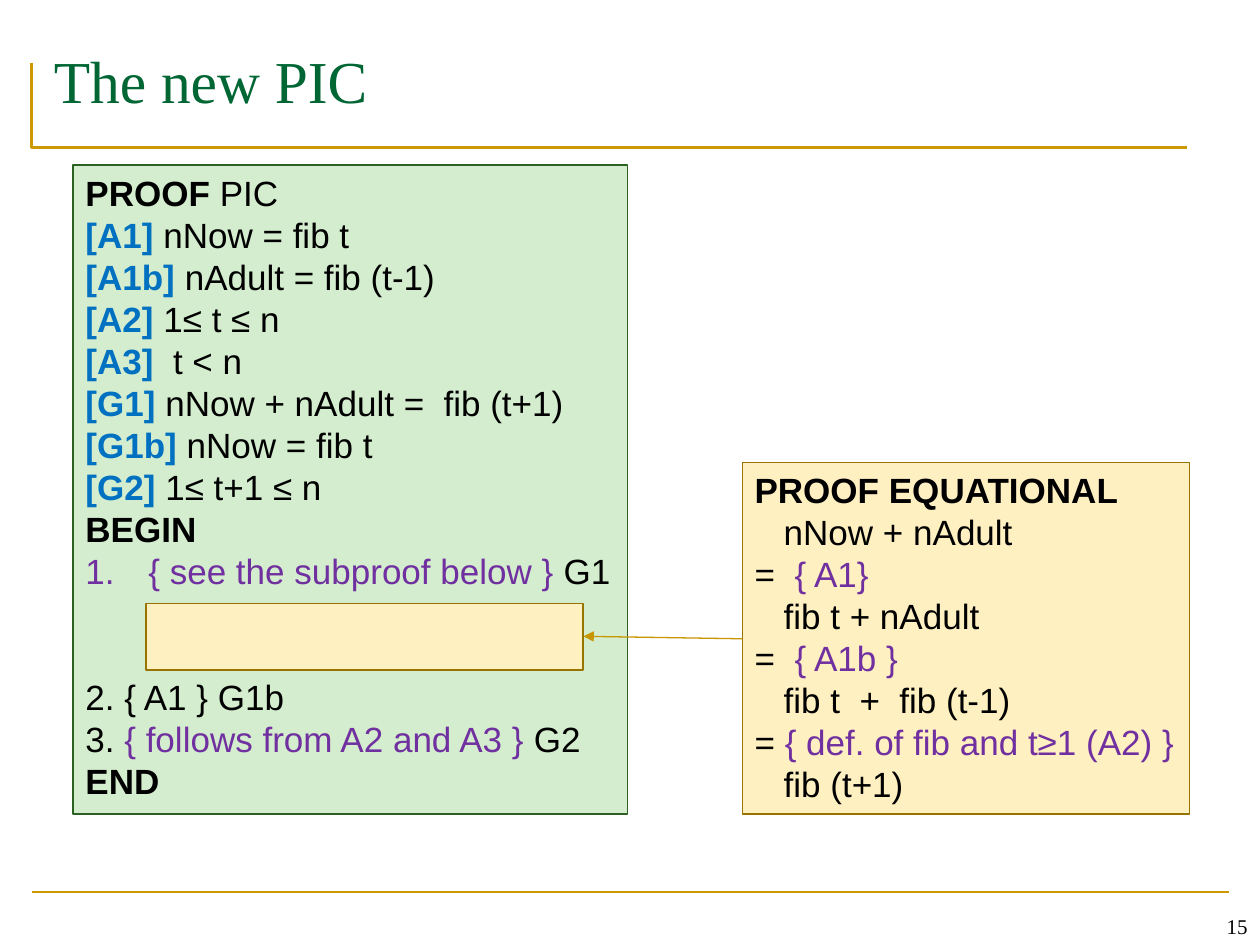
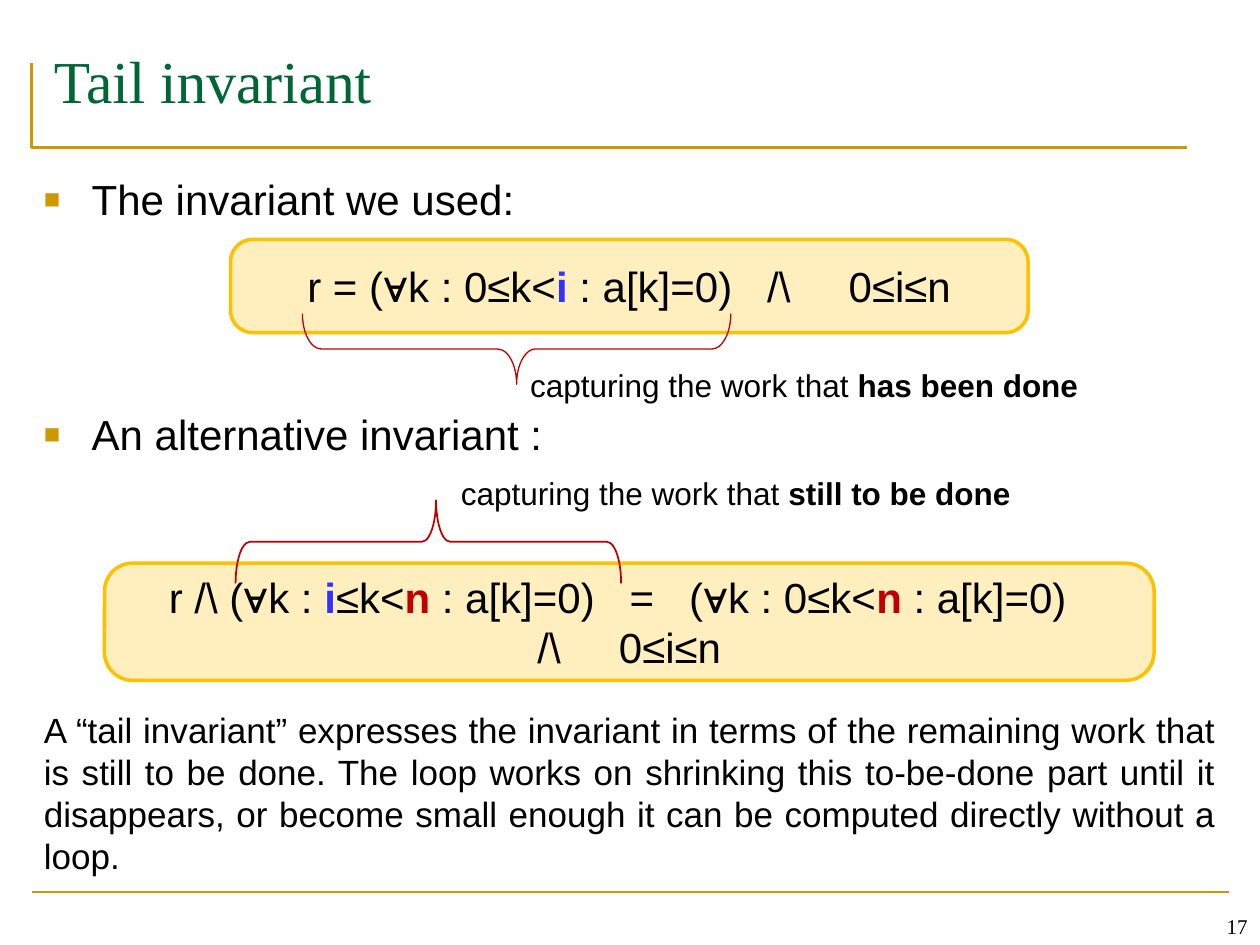
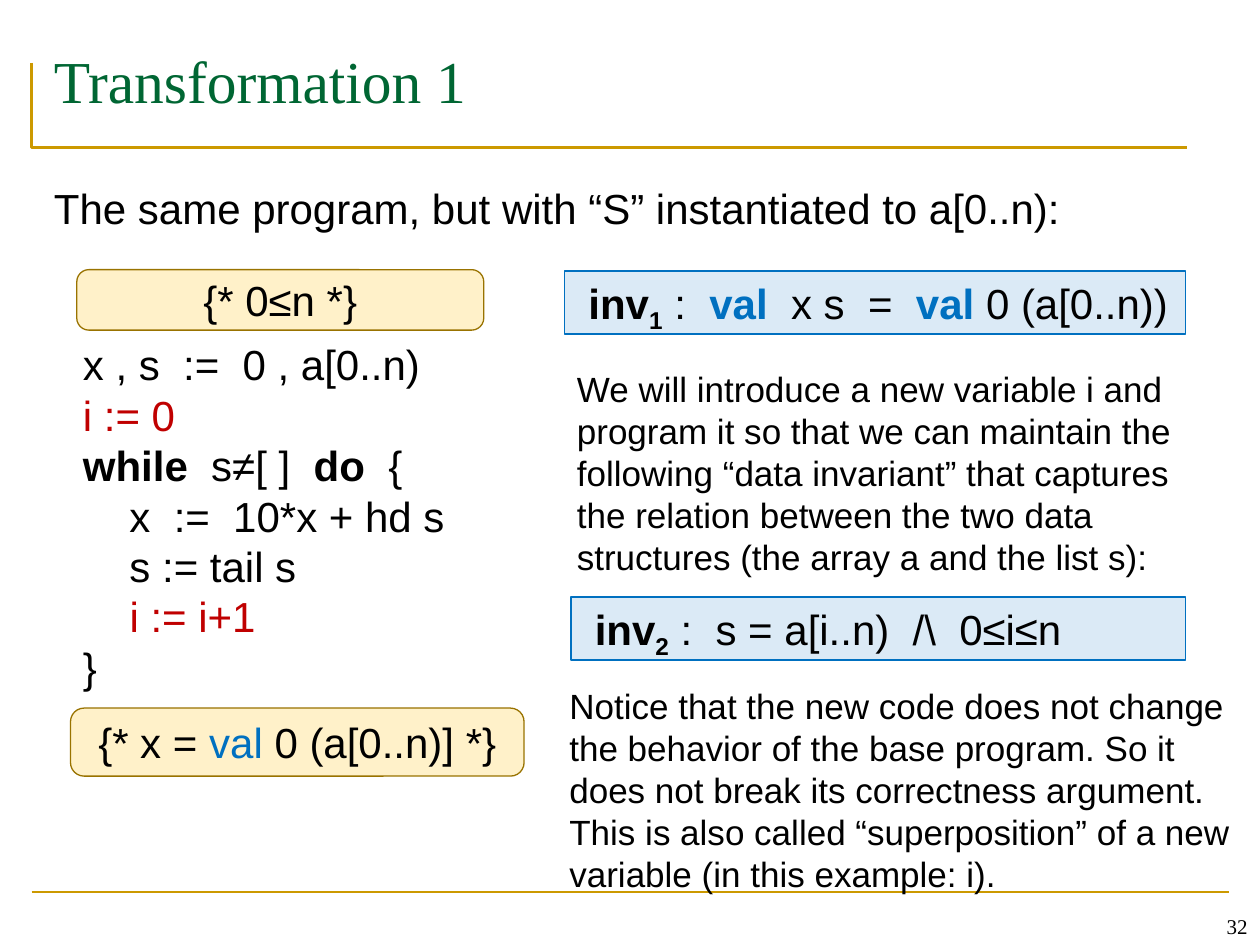
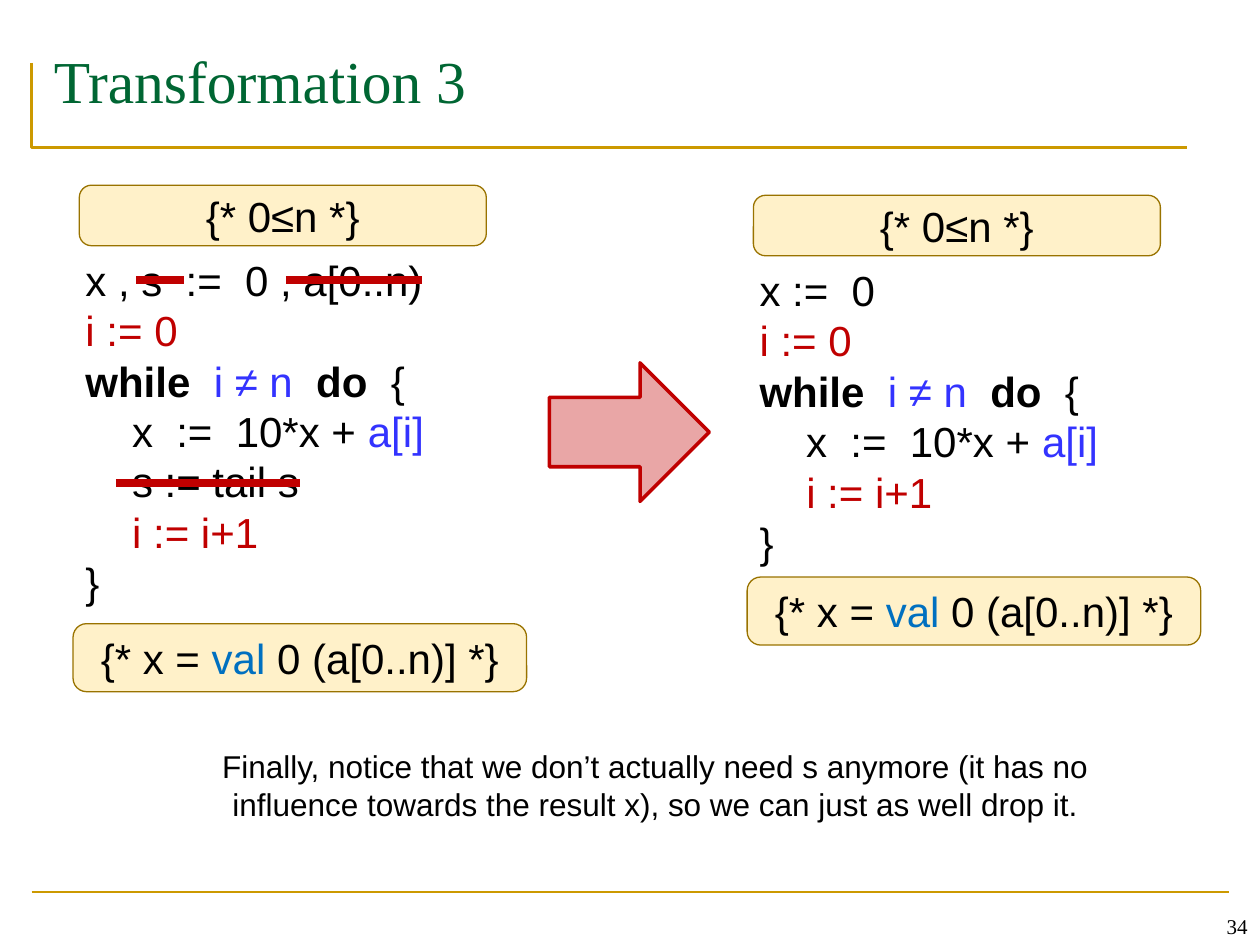
from dataclasses import dataclass
from functools import partial

import pptx
import pptx.dml.color
import pptx.enum.shapes
import pptx.enum.text
import pptx.oxml.ns
import pptx.util
from lxml import etree

Inches, Pt = pptx.util.Inches, pptx.util.Pt
SHAPE = pptx.enum.shapes.MSO_SHAPE
ALIGN = pptx.enum.text.PP_ALIGN
ANCHOR = pptx.enum.text.MSO_ANCHOR
qn = pptx.oxml.ns.qn

# Shared look
BODY_FONT, TITLE_FONT = "Arial", "Times New Roman"
BLACK, GOLD, TITLE_GREEN = "000000", "CC9900", "006633"
BLUE, INDIGO, PURPLE, RED = "0070C0", "3333FF", "7030A0", "C00000"
CREAM, BROWN, AMBER = "FFF0C2", "997300", "FFC000"


# Text pieces
@dataclass
class Run:
    text: str
    color: str = None
    bold: bool = None
    subscript: bool = False


@dataclass
class Para:
    runs: list
    before: float = 0
    indent: float = 0
    bullet: str = None


bold = partial(Run, bold=True)
blue = partial(Run, color=BLUE)
indigo = partial(Run, color=INDIGO)
purple = partial(Run, color=PURPLE)
red = partial(Run, color=RED)


def rgb(color):
    return pptx.dml.color.RGBColor.from_string(color)


def add_bullet(props, bullet):
    """Number the paragraph, or give it a small gold mark."""
    if bullet == "number":
        etree.SubElement(props, qn("a:buAutoNum"), type="arabicPeriod")
        return
    color = etree.SubElement(props, qn("a:buClr"))
    etree.SubElement(color, qn("a:srgbClr"), val=GOLD)
    etree.SubElement(props, qn("a:buSzPct"), val="65000")
    etree.SubElement(props, qn("a:buFont"), typeface=BODY_FONT)
    etree.SubElement(props, qn("a:buChar"), char=bullet)


def write(frame, paras, size, color=BLACK, font=BODY_FONT, align=ALIGN.LEFT,
          anchor=ANCHOR.TOP, wrap=True):
    """Fill a frame; each paragraph is a string, a list of runs or a Para."""
    frame.word_wrap = wrap
    frame.vertical_anchor = anchor
    for index, para in enumerate(paras):
        if isinstance(para, str):
            para = [para]
        if isinstance(para, list):
            para = Para(para)
        line = frame.add_paragraph() if index else frame.paragraphs[0]
        line.alignment = align
        if para.before:
            line.space_before = Pt(para.before)
        if para.bullet:
            props = line._p.get_or_add_pPr()
            props.set("marL", str(Inches(para.indent)))
            props.set("indent", str(-Inches(para.indent)))
            add_bullet(props, para.bullet)
        line.font.name, line.font.size = font, Pt(size)
        line.font.color.rgb = rgb(color)
        for part in para.runs:
            part = Run(part) if isinstance(part, str) else part
            run = line.add_run()
            run.text = part.text
            if part.color:
                run.font.color.rgb = rgb(part.color)
            if part.bold:
                run.font.bold = True
            if part.subscript:
                run.font._element.set("baseline", "-25000")


def add_text(slide, box, paras, size, **style):
    text = slide.shapes.add_textbox(*map(Inches, box))
    write(text.text_frame, paras, size, **style)


def add_box(slide, kind, box, fill, line, width, alpha=None, adjust=()):
    shape = slide.shapes.add_shape(kind, *map(Inches, box))
    shape.shadow.inherit = False
    if fill:
        shape.fill.solid()
        shape.fill.fore_color.rgb = rgb(fill)
    else:
        shape.fill.background()
    if alpha:
        color = shape._element.spPr.find(qn("a:solidFill")).find(qn("a:srgbClr"))
        etree.SubElement(color, qn("a:alpha"), val=str(alpha * 1000))
    shape.line.color.rgb = rgb(line)
    shape.line.width = Pt(width)
    for index, value in enumerate(adjust):
        shape.adjustments[index] = value
    return shape


def add_line(slide, start, end, color, width, arrow=False):
    line = slide.shapes.add_connector(
        pptx.enum.shapes.MSO_CONNECTOR.STRAIGHT, *map(Inches, start + end))
    line.line.color.rgb = rgb(color)
    line.line.width = Pt(width)
    if arrow:
        etree.SubElement(line.line._get_or_add_ln(), qn("a:tailEnd"), type="triangle")
    etree.SubElement(line._element.spPr, qn("a:effectLst"))


def add_page(deck, title, number):
    """Slide with the corner rule, footer rule, title and page number."""
    slide = deck.slides.add_slide(deck.slide_layouts[6])
    outline = slide.shapes.build_freeform(Inches(0.25), Inches(0.5))
    outline.add_line_segments(
        [(Inches(0.25), Inches(1.17)), (Inches(9.42), Inches(1.17))], close=False)
    corner = outline.convert_to_shape()
    corner.shadow.inherit = False
    corner.fill.background()
    corner.line.color.rgb = rgb(GOLD)
    corner.line.width = Pt(1.5)
    add_line(slide, (0.25, 7.08), (9.75, 7.08), GOLD, 1.5)
    add_text(slide, (0.33, 0.3, 9.33, 0.86), [title], 34,
             color=TITLE_GREEN, font=TITLE_FONT)
    add_text(slide, (7.67, 7, 2.33, 0.5), [str(number)], 12,
             font=TITLE_FONT, align=ALIGN.RIGHT, anchor=ANCHOR.BOTTOM)
    return slide


# Proof panels
def add_proof(slide, box, fill, line, paras):
    panel = add_box(slide, SHAPE.RECTANGLE, box, fill, line, 0.75)
    write(panel.text_frame, paras, 20, wrap=False)


def labelled(label, claim):
    return [blue(label, bold=True), claim]


def build_pic(deck):
    slide = add_page(deck, "The new PIC", 15)
    add_proof(slide, (0.58, 1.31, 4.4, 5.15), "D3EDCE", "2C6123", [
        [bold("PROOF"), " PIC"],
        labelled("[A1] ", "nNow = fib t"),
        labelled("[A1b] ", "nAdult = fib (t-1)"),
        labelled("[A2] ", "1≤ t ≤ n"),
        labelled("[A3]  ", "t < n"),
        labelled("[G1] ", "nNow + nAdult =  fib (t+1)"),
        labelled("[G1b] ", "nNow = fib t"),
        labelled("[G2] ", "1≤ t+1 ≤ n"),
        [bold("BEGIN")],
        Para([purple("{ see the subproof below } "), "G1"], indent=0.5, bullet="number"),
        Para(["2. { A1 } G1b"], before=48),
        ["3. ", purple("{ follows from A2 and A3 } "), "G2"],
        [bold("END")],
    ])
    add_proof(slide, (5.89, 3.67, 3.55, 2.79), CREAM, BROWN, [
        [bold("PROOF EQUATIONAL")],
        "   nNow + nAdult",
        ["=  ", purple("{ A1}")],
        "   fib t + nAdult",
        ["=  ", purple("{ A1b }")],
        "   fib t  +  fib (t-1)",
        ["= ", purple("{ def. of fib and t≥1 (A2) }")],
        "   fib (t+1)",
    ])
    # Place of the subproof
    add_line(slide, (5.89, 5.07), (4.63, 5.05), "C89600", 0.75, arrow=True)
    add_box(slide, SHAPE.RECTANGLE, (1.16, 4.79, 3.47, 0.53), CREAM, BROWN, 1)


# Invariants with braces
def add_invariant(slide, box, paras):
    panel = add_box(slide, SHAPE.ROUNDED_RECTANGLE, box, AMBER, AMBER, 2, 25, [0.24])
    write(panel.text_frame, paras, 24, align=ALIGN.CENTER, anchor=ANCHOR.MIDDLE)


def add_brace(slide, box, rotation, width, adjust, note_at, ending):
    brace = add_box(slide, SHAPE.RIGHT_BRACE, box, None, RED, width, adjust=adjust)
    brace.rotation = rotation
    add_text(slide, note_at + (4.6, 0.4),
             [["capturing the work that ", bold(ending)]], 18, wrap=False)


def build_tail(deck):
    slide = add_page(deck, "Tail invariant", 17)
    add_text(slide, (0.25, 1.33, 9.5, 5.67), [
        Para(["The invariant we used:"], indent=0.38, bullet="■"),
        Para(["An alternative invariant :"], before=105.5, indent=0.38, bullet="■"),
    ], 24)
    add_invariant(slide, (1.83, 1.9, 6.33, 0.74), [
        ["r = (∀k : 0≤k<", indigo("i ", bold=True), ": a[k]=0)   /\\     0≤i≤n"]])
    add_invariant(slide, (0.83, 4.47, 8.33, 0.93), [
        ["r /\\ (∀k : ", indigo("i", bold=True), "≤k<", red("n ", bold=True),
         ": a[k]=0)   =   (∀k : 0≤k<", red("n ", bold=True), ": a[k]=0)  "],
        "/\\     0≤i≤n"])
    add_brace(slide, (3.07, 2.77, 0.66, 3.06), 270, 1, (0.17, 0.52),
              (3.56, 3.71), "still to be done")
    add_brace(slide, (3.82, 1.07, 0.56, 3.4), 90, 0.75, (0.27, 0.5),
              (4.11, 2.86), "has been done")
    add_text(slide, (0.25, 5.57, 9.5, 1.45), [
        "A “tail invariant” expresses the invariant in terms of the remaining work "
        "that is still to be done. The loop works on shrinking this to-be-done part "
        "until it disappears, or become small enough it can be computed directly "
        "without a loop."], 20, align=ALIGN.JUSTIFY)


# Program between its two conditions
def add_condition(slide, box, runs):
    panel = add_box(slide, SHAPE.ROUNDED_RECTANGLE, box, "FFD147", BROWN, 0.75, 29, [0.2])
    write(panel.text_frame, [runs], 24, align=ALIGN.CENTER, anchor=ANCHOR.MIDDLE)


def add_program(slide, left, top, start, guard, body):
    code = [start, [red("i := 0")],
            [bold("while"), "  ", guard, "  ", bold("do"), "  {"],
            *body, ["    ", red("i := i+1")], "}"]
    add_text(slide, (left, top + 0.5, 3.65, 0.1 + 0.4 * len(code)), code, 24, wrap=False)
    add_condition(slide, (left + 0.05, top, 3.23, 0.48), ["{* 0≤n *}"])
    add_condition(slide, (left, top + 0.33 + 0.45 * len(code), 3.6, 0.54),
                  ["{* x = ", blue("val"), " 0 (a[0..n)] *}"])


def add_named_invariant(slide, box, index, runs):
    panel = add_box(slide, SHAPE.RECTANGLE, box, BLUE, BLUE, 1, 14)
    name = [" ", bold("inv"), bold(index, subscript=True), " :  "]
    write(panel.text_frame, [name + runs], 24, wrap=False)


def build_transformation_1(deck):
    slide = add_page(deck, "Transformation 1", 32)
    add_program(slide, 0.56, 2.14, "x , s  :=  0 , a[0..n)", "s≠[ ]",
                ["    x  :=  10*x + hd s", "    s := tail s"])
    val = blue("val", bold=True)
    add_named_invariant(slide, (4.48, 2.15, 4.93, 0.5), "1",
                        [val, "  x s  =  ", val, " 0 (a[0..n))"])
    add_named_invariant(slide, (4.53, 4.74, 4.88, 0.5), "2",
                        ["s = a[i..n)  /\\  0≤i≤n"])
    add_text(slide, (0.33, 1.4, 8.26, 0.5),
             ["The same program, but with “S” instantiated to a[0..n):"], 24, wrap=False)
    add_text(slide, (4.48, 2.87, 4.98, 1.78), [
        "We will introduce a new variable i and program it so that we can maintain "
        "the following “data invariant” that captures the relation between the two "
        "data structures (the array a and the list s):"], 20)
    add_text(slide, (4.42, 5.38, 5.58, 1.78), [
        "Notice that the new code does not change the behavior of the base program. "
        "So it does not break its correctness argument. This is also called "
        "“superposition” of a new variable (in this example: i)."], 20)


def build_transformation_3(deck):
    slide = add_page(deck, "Transformation 3", 34)
    guard = indigo("i ≠ n")
    step = ["    x  :=  10*x + ", indigo("a[i]")]
    add_program(slide, 0.58, 1.47, "x , s  :=  0 , a[0..n)", guard,
                [step, "    s := tail s"])
    add_program(slide, 5.93, 1.55, "x :=  0", guard, [step])
    add_box(slide, SHAPE.RIGHT_ARROW, (4.36, 2.88, 1.27, 1.1), RED, RED, 2, 35)
    # Struck-out code
    for left, right, y in [(2.27, 3.35, 2.22), (1.08, 1.46, 2.22), (0.92, 2.38, 3.83)]:
        add_line(slide, (left, y), (right, y), RED, 4.5)
    add_text(slide, (1.18, 5.88, 8.04, 0.71), [
        "Finally, notice that we don’t actually need s anymore (it has no influence "
        "towards the result x), so we can just as well drop it."], 18, align=ALIGN.CENTER)


def main():
    deck = pptx.Presentation()
    deck.slide_width, deck.slide_height = Inches(10), Inches(7.5)
    for build in (build_pic, build_tail, build_transformation_1, build_transformation_3):
        build(deck)
    deck.save("out.pptx")


if __name__ == "__main__":
    main()
